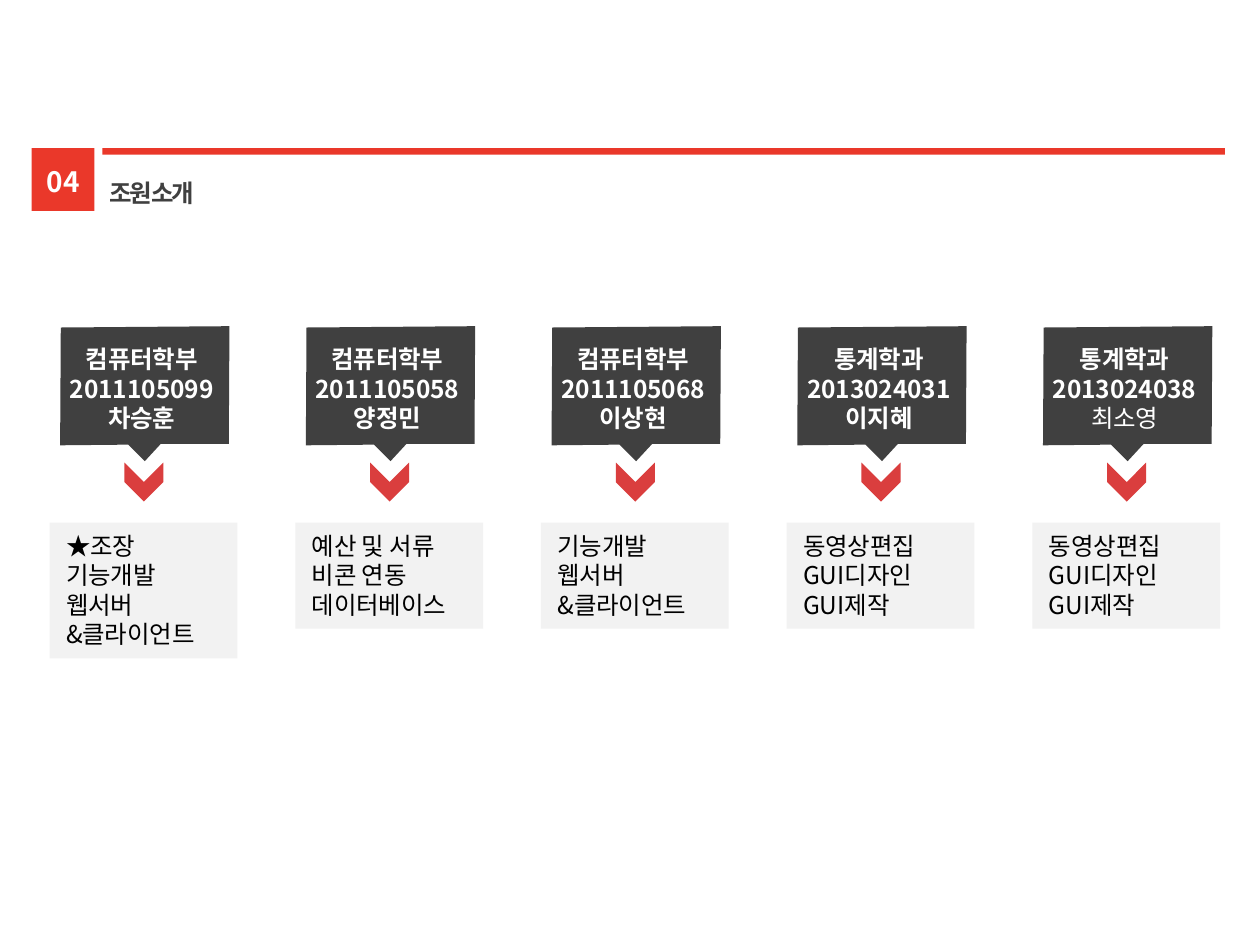
import pptx
import pptx.dml.color
import pptx.enum.shapes
import pptx.enum.text
import pptx.oxml
import pptx.oxml.ns
import pptx.util

Cm = pptx.util.Cm
PRESET = pptx.enum.shapes.MSO_SHAPE
ALIGN = pptx.enum.text.PP_ALIGN
ANCHOR = pptx.enum.text.MSO_ANCHOR
FONT = "Noto Sans CJK KR"
COLORS = {
    "red": "EA382A",
    "chevron": "DA3E3E",
    "card": "262626",
    "panel": "F2F2F2",
    "title": "404040",
    "black": "000000",
    "white": "FFFFFF",
}
MEMBERS = [
    (["컴퓨터학부", "2011105099", "차승훈"], ["★조장", "기능개발", "웹서버", "&클라이언트"]),
    (["컴퓨터학부", "2011105058", "양정민"], ["예산 및 서류", "비콘 연동", "데이터베이스"]),
    (["컴퓨터학부", "2011105068", "이상현"], ["기능개발", "웹서버", "&클라이언트"]),
    (["통계학과", "2013024031", "이지혜"], ["동영상편집", "GUI디자인", "GUI제작"]),
    (["통계학과", "2013024038", "최소영"], ["동영상편집", "GUI디자인", "GUI제작"]),
]
REGULAR_WEIGHT = {"최소영"}
CARD_OUTLINE = [(0, 4.95), (2.55, 4.93), (2.54, 6.71), (1.51, 6.71),
                (1.27, 6.97), (1.02, 6.72), (-0.01, 6.73)]
PITCH = 3.715


def write_text(shape, lines, color="black", size=10.5, bold=False,
               align=ALIGN.LEFT, anchor=ANCHOR.TOP, wrap=True, spacing=None):
    frame = shape.text_frame
    frame.word_wrap = wrap
    frame.vertical_anchor = anchor
    frame.auto_size = pptx.enum.text.MSO_AUTO_SIZE.NONE
    for index, line in enumerate(lines):
        paragraph = frame.add_paragraph() if index else frame.paragraphs[0]
        paragraph.alignment = align
        run = paragraph.add_run()
        run.text = line
        run.font.name = FONT
        run.font.size = pptx.util.Pt(size)
        run.font.bold = bold and line not in REGULAR_WEIGHT
        run.font.color.rgb = pptx.dml.color.RGBColor.from_string(COLORS[color])
        properties = run.font._element
        east_asian = pptx.oxml.parse_xml(
            f'<a:ea {pptx.oxml.ns.nsdecls("a")} typeface="{FONT}"/>')
        properties.find(pptx.oxml.ns.qn("a:latin")).addnext(east_asian)
        if spacing is not None:
            properties.set("spc", str(round(spacing * 100)))


def paint(shape, color):
    """Give the shape a flat fill without outline or shadow."""
    shape.shadow.inherit = False
    shape.fill.solid()
    shape.fill.fore_color.rgb = pptx.dml.color.RGBColor.from_string(COLORS[color])
    shape.line.fill.background()
    return shape


presentation = pptx.Presentation()
presentation.slide_width = Cm(19.05)
presentation.slide_height = Cm(14.28)
slide = presentation.slides.add_slide(presentation.slide_layouts[5])
shapes = slide.shapes

# Header
title = shapes.title
title.left, title.top, title.width, title.height = Cm(1.4), Cm(2.57), Cm(7.37), Cm(0.71)
write_text(title, ["조원 소개"], color="title", bold=True, spacing=-1.1)

number = paint(shapes.add_shape(PRESET.RECTANGLE, Cm(0.48), Cm(2.24), Cm(0.95), Cm(0.95)), "red")
frame = number.text_frame
frame.margin_left = frame.margin_right = frame.margin_bottom = 0
frame.margin_top = Cm(0.05)
write_text(number, ["04"], color="white", size=12, bold=True,
           align=ALIGN.CENTER, anchor=ANCHOR.MIDDLE, wrap=False)
paint(shapes.add_shape(PRESET.RECTANGLE, Cm(1.55), Cm(2.24), Cm(16.97), Cm(0.1)), "red")

# One column per member: card, chevron, duties
for column, (identity, duties) in enumerate(MEMBERS):
    offset = column * PITCH

    group = shapes.add_group_shape()
    points = [(Cm(0.92 + offset + x), Cm(y)) for x, y in CARD_OUTLINE]
    builder = group.shapes.build_freeform(*points[0])
    builder.add_line_segments(points[1:], close=True)
    card = paint(builder.convert_to_shape(), "card")
    card_color = card.fill._xPr.find(pptx.oxml.ns.qn("a:solidFill"))[0]
    card_color.append(pptx.oxml.parse_xml(
        f'<a:alpha {pptx.oxml.ns.nsdecls("a")} val="88000"/>'))
    label = group.shapes.add_textbox(Cm(0.81 + offset), Cm(5.08), Cm(2.67), Cm(1.6))
    write_text(label, identity, color="white", bold=True, align=ALIGN.CENTER, wrap=False)

    chevron = paint(shapes.add_shape(
        PRESET.CHEVRON, Cm(1.88 + offset), Cm(6.99), Cm(0.59), Cm(0.59)), "chevron")
    chevron.rotation = 90

    panel_height = 0.25 + 0.45 * len(duties)
    panel = paint(shapes.add_shape(
        PRESET.RECTANGLE, Cm(0.75 + offset), Cm(7.9), Cm(2.84), Cm(panel_height)), "panel")
    write_text(panel, duties)

presentation.save("out.pptx")
